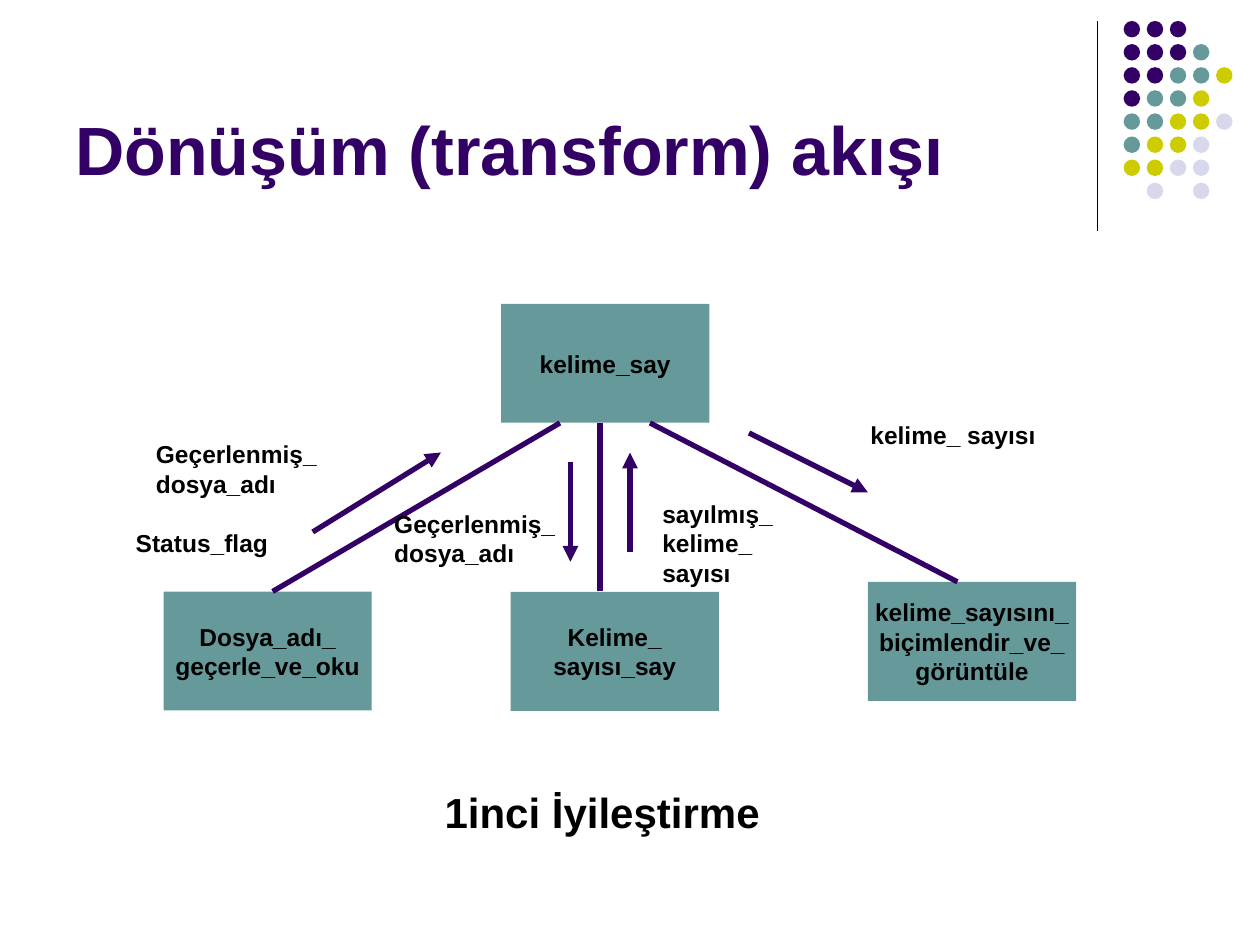
from collections import namedtuple
from dataclasses import dataclass

from pptx import Presentation
from pptx.dml.color import RGBColor
from pptx.enum import shapes, text
from pptx.oxml import ns, xmlchemy
from pptx.util import Pt

Box = namedtuple("Box", "left top width height")


@dataclass(frozen=True)
class Theme:
    font: str = "Arial"
    black: str = "000000"
    purple: str = "330066"
    teal: str = "669999"
    olive: str = "CCCC00"
    lavender: str = "D8D8EC"
    title_size: float = 39
    caption_size: float = 24
    label_size: float = 14
    thin: float = 0.75
    thick: float = 3


THEME = Theme()


def place(box, left, top, width, height):
    """Turn a place relative to a region into lengths on the slide."""
    return Pt(box.left + left), Pt(box.top + top), Pt(width), Pt(height)


def write(shape, words, size, color=THEME.black, align=text.PP_ALIGN.LEFT,
          anchor=text.MSO_ANCHOR.TOP, wrap=True):
    frame = shape.text_frame
    frame.word_wrap = wrap
    frame.vertical_anchor = anchor
    frame.text = words
    for paragraph in frame.paragraphs:
        paragraph.alignment = align
        font = paragraph.font
        font.name, font.size, font.bold = THEME.font, Pt(size), True
        font.color.rgb = RGBColor.from_string(color)


def add_filled(slide, kind, position, color):
    shape = slide.shapes.add_shape(kind, *position)
    shape.shadow.inherit = False
    shape.fill.solid()
    shape.fill.fore_color.rgb = RGBColor.from_string(color)
    shape.line.fill.background()
    return shape


def add_line(slide, box, start, end, color, width, arrow=False):
    points = [Pt(value) for x, y in (start, end)
              for value in (box.left + x, box.top + y)]
    line = slide.shapes.add_connector(shapes.MSO_CONNECTOR.STRAIGHT, *points)
    line.line.color.rgb = RGBColor.from_string(color)
    line.line.width = Pt(width)
    properties = line._element.spPr
    if arrow:
        tail = xmlchemy.OxmlElement("a:tailEnd")
        tail.set("type", "triangle")
        properties.find(ns.qn("a:ln")).append(tail)
    properties.append(xmlchemy.OxmlElement("a:effectLst"))


def add_text(slide, box, words, size, **style):
    write(slide.shapes.add_textbox(*place(box, 0, 0, box.width, box.height)),
          words, size, **style)


def add_ornament(slide, box):
    """Vertical rule and a grid of dots at its right."""
    add_line(slide, box, (0, 0), (0, box.height), THEME.black, THEME.thin)
    colors = {"p": THEME.purple, "t": THEME.teal,
              "o": THEME.olive, "l": THEME.lavender}
    rows = ("ppp", "pppt", "pptto", "ptto", "ttool", "tool", "ooll", " l l")
    first, pitch, diameter = 15.1, 13.2, 9.4
    for row, dots in enumerate(rows):
        for column, key in enumerate(dots):
            if key in colors:
                position = place(box, first + column * pitch, row * pitch,
                                 diameter, diameter)
                add_filled(slide, shapes.MSO_SHAPE.OVAL, position, colors[key])


def add_structure_chart(slide, box):
    """Modules, the calls between them and the data they pass."""
    # Modules
    modules = (
        (216.4, 3.6, "kelime_say"),
        (23.5, 168, "Dosya_adı_\ngeçerle_ve_oku"),
        (221.8, 168.2, "Kelime_\nsayısı_say"),
        (426, 162.5, "kelime_sayısını_\nbiçimlendir_ve_\ngörüntüle"),
    )
    for left, top, words in modules:
        shape = add_filled(slide, shapes.MSO_SHAPE.RECTANGLE,
                           place(box, left, top, 119, 68), THEME.teal)
        write(shape, words, THEME.label_size, align=text.PP_ALIGN.CENTER,
              anchor=text.MSO_ANCHOR.MIDDLE, wrap=False)

    # Calls
    calls = (
        ((85.8, 168), (250, 71.7)),
        ((272.9, 71.7), (272.9, 168)),
        ((301.4, 71.7), (477.1, 162.5)),
    )
    # Data flow arrows
    flows = (
        ((108.7, 134), (182, 88.6)),
        ((256, 94.3), (256, 151)),
        ((290, 145.4), (290, 88.6)),
        ((358, 77.4), (426, 111.4)),
    )
    for lines, arrow in ((calls, False), (flows, True)):
        for start, end in lines:
            add_line(slide, box, start, end, THEME.purple, THEME.thick, arrow)

    # Data labels
    labels = (
        (0.5, 128, 90.7, 24.5, "Status_flag"),
        (12, 77.5, 108, 41, "Geçerlenmiş_dosya_adı"),
        (148.2, 117.3, 108, 41, "Geçerlenmiş_dosya_adı"),
        (301.4, 111.5, 85, 57.6, "sayılmış_kelime_ sayısı"),
        (420.3, 66.2, 124.6, 24.5, "kelime_ sayısı"),
    )
    for left, top, width, height, words in labels:
        add_text(slide, Box(box.left + left, box.top + top, width, height),
                 words, THEME.label_size)


def main():
    presentation = Presentation()
    presentation.slide_width, presentation.slide_height = Pt(720), Pt(540)
    slide = presentation.slides.add_slide(presentation.slide_layouts[6])

    add_ornament(slide, Box(627, 12, 80, 120))
    add_text(slide, Box(36, 9.4, 594, 102.2), "Dönüşüm (transform) akışı",
             THEME.title_size, color=THEME.purple,
             anchor=text.MSO_ANCHOR.BOTTOM)
    add_structure_chart(slide, Box(70, 170, 546, 238))
    add_text(slide, Box(247, 445.7, 204.5, 36), "1inci İyileştirme",
             THEME.caption_size)

    presentation.save("out.pptx")


if __name__ == "__main__":
    main()
